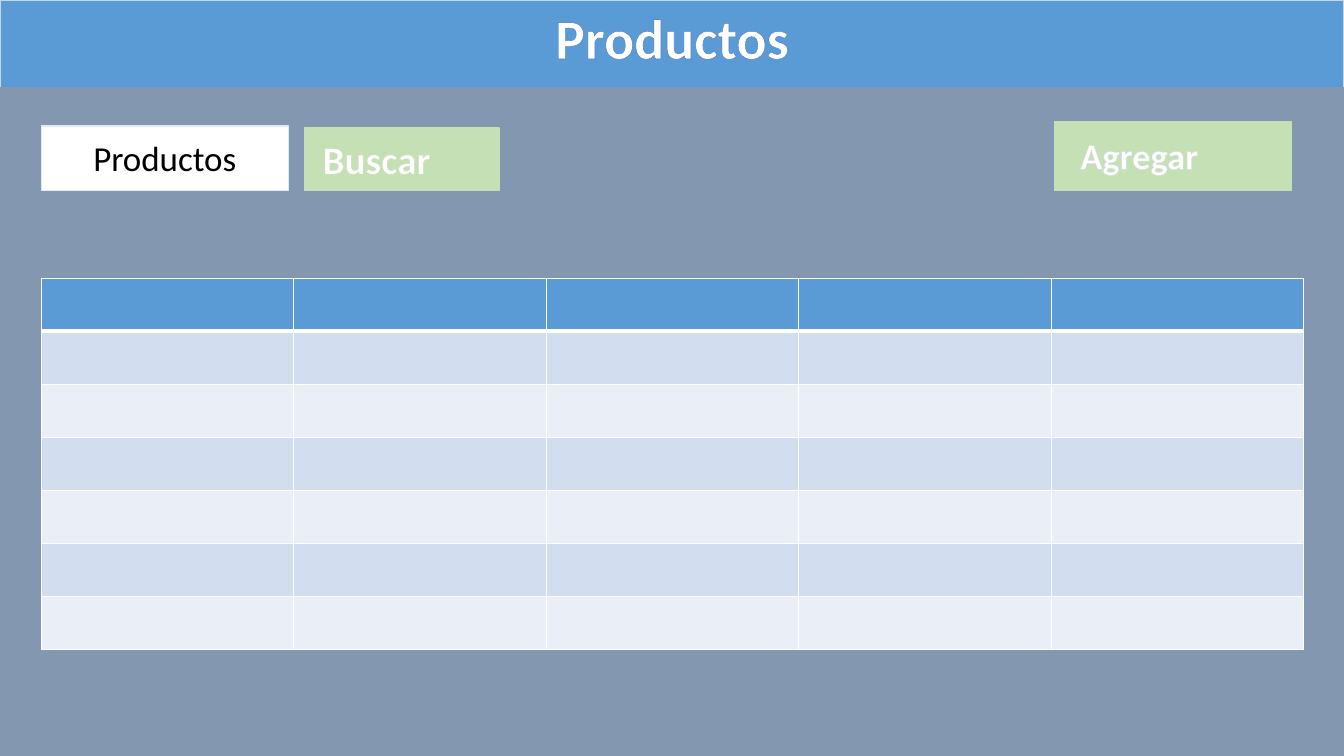
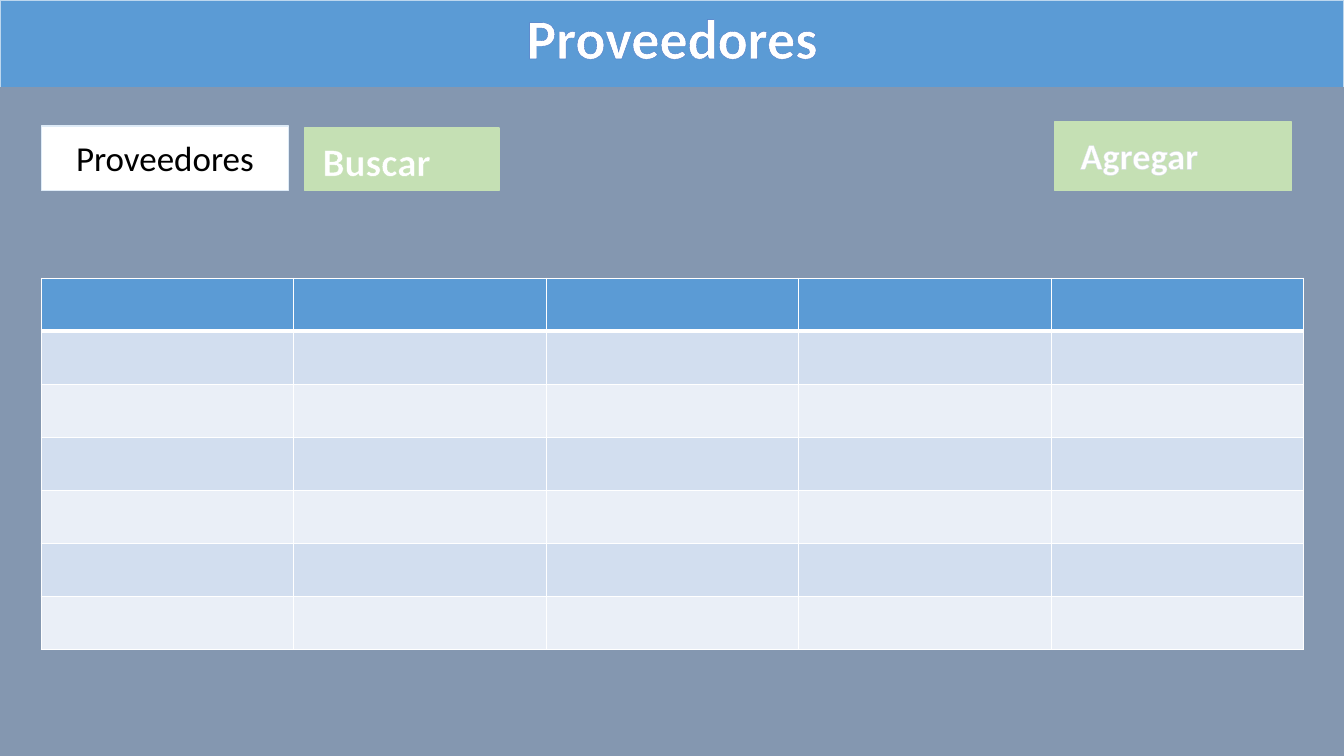
from collections import namedtuple

from lxml import etree
from pptx import Presentation
from pptx.dml.color import RGBColor
from pptx.enum import shapes, text
from pptx.oxml import ns
from pptx.util import Inches, Pt

Box = namedtuple("Box", "left top width height")

# Shared colours and formats
BLUE, SLATE, GREEN, WHITE, BLACK = "5B9BD5", "8497B0", "C5E0B4", "FFFFFF", "000000"
ROW_FILLS = ("D2DEEF", "EAEFF7")
TITLE = {"size": Pt(40), "bold": True}
FIELD = {"size": Pt(25), "bold": False}
SEARCH = {"size": Pt(28), "bold": True}
ADD = {"size": Pt(26), "bold": True}

# Shared layout
PAGE = Box(0, 0, 13.33, 7.5)
HEADER_HEIGHT = 0.87
FIELD_BOX = Box(0.41, 1.25, 2.45, 0.64)
SEARCH_BOX = Box(3.02, 1.27, 1.93, 0.62)
ADD_BOX = Box(10.46, 1.21, 2.35, 0.68)
GRID_BOX = Box(0.41, 2.76, 12.52, 3.69)
GRID_ROWS, GRID_COLUMNS = 7, 5

# Heading, its width, width of the field text, drop of the search text
SCREENS = [
    ("Productos", 2.55, 1.64, 0.02),
    ("Proveedores", 3.12, 1.99, 0.04),
]


def colour(hex_code):
    return RGBColor.from_string(hex_code)


def inches(box):
    return [Inches(length) for length in box]


def add_line_xml(parent, tag, hex_code, points):
    line = etree.SubElement(parent, ns.qn(tag), w=str(Pt(points)))
    fill = etree.SubElement(line, ns.qn("a:solidFill"))
    etree.SubElement(fill, ns.qn("a:srgbClr"), val=hex_code)
    return line


def add_panel(slide, box, fill, line):
    panel = slide.shapes.add_shape(shapes.MSO_SHAPE.RECTANGLE, *inches(box))
    panel.shadow.inherit = False
    panel.fill.solid()
    panel.fill.fore_color.rgb = colour(fill)
    panel.line.color.rgb = colour(line)
    panel.line.width = Pt(1)


def add_label(slide, box, words, formats, ink=WHITE, outline=None, frame=None, wrap=False):
    label = slide.shapes.add_textbox(*inches(box))
    if frame:
        label.line.color.rgb = colour(frame)
        label.line.width = Pt(0.75)
    label.text_frame.word_wrap = wrap
    label.text_frame.auto_size = text.MSO_AUTO_SIZE.SHAPE_TO_FIT_TEXT
    paragraph = label.text_frame.paragraphs[0]
    paragraph.alignment = text.PP_ALIGN.CENTER
    run = paragraph.add_run()
    run.text = words
    for attribute, value in {"name": "Calibri", **formats}.items():
        setattr(run.font, attribute, value)
    run.font.color.rgb = colour(ink)
    if outline:
        properties = run._r.get_or_add_rPr()
        properties.insert(0, add_line_xml(properties, "a:ln", outline, 0.8))


def centred(box, width, height, top):
    return Box(box.left + (box.width - width) / 2, box.top + top, width, height)


def add_header(slide, box, heading, width):
    add_panel(slide, box, BLUE, "BDD7EE")
    body = Box(box.left, box.top + HEADER_HEIGHT, box.width, box.height - HEADER_HEIGHT)
    add_panel(slide, body, SLATE, SLATE)
    add_label(slide, centred(box, width, 0.77, -0.02), heading, TITLE, outline="4472C4")


def add_field(slide, box, words, width):
    add_panel(slide, box, WHITE, "DEEBF7")
    add_label(slide, centred(box, width, 0.52, 0.06), words, FIELD, ink=BLACK)


def add_button(slide, box, words, inset, formats, outline, wrap=False):
    add_panel(slide, box, GREEN, GREEN)
    label = Box(box.left + inset.left, box.top + inset.top, inset.width, inset.height)
    add_label(slide, label, words, formats, outline=outline, frame=GREEN, wrap=wrap)


def add_grid(slide, box):
    table = slide.shapes.add_table(GRID_ROWS, GRID_COLUMNS, *inches(box)).table
    for column in table.columns:
        column.width = Inches(box.width / GRID_COLUMNS)
    for index, row in enumerate(table.rows):
        row.height = Inches(box.height / GRID_ROWS)
        # The header row is set off by a thicker rule
        rules = {"L": 1, "R": 1, "T": 3 if index == 1 else 1, "B": 3 if index == 0 else 1}
        for cell in row.cells:
            properties = cell._tc.get_or_add_tcPr()
            for side, points in rules.items():
                add_line_xml(properties, f"a:ln{side}", WHITE, points)
            cell.fill.solid()
            cell.fill.fore_color.rgb = colour(ROW_FILLS[(index - 1) % 2] if index else BLUE)


def add_screen(deck, heading, heading_width, field_width, search_drop):
    slide = deck.slides.add_slide(deck.slide_layouts[6])
    add_header(slide, PAGE, heading, heading_width)
    add_grid(slide, GRID_BOX)
    add_field(slide, FIELD_BOX, heading, field_width)
    add_button(slide, SEARCH_BOX, "Buscar", Box(0, search_drop, 1.43, 0.57),
               SEARCH, GREEN, wrap=True)
    add_button(slide, ADD_BOX, "Agregar", Box(0.15, 0.06, 1.38, 0.54), ADD, "D6DCE5")


def main():
    deck = Presentation()
    deck.slide_width, deck.slide_height = Inches(PAGE.width), Inches(PAGE.height)
    for screen in SCREENS:
        add_screen(deck, *screen)
    deck.save("out.pptx")


if __name__ == "__main__":
    main()
